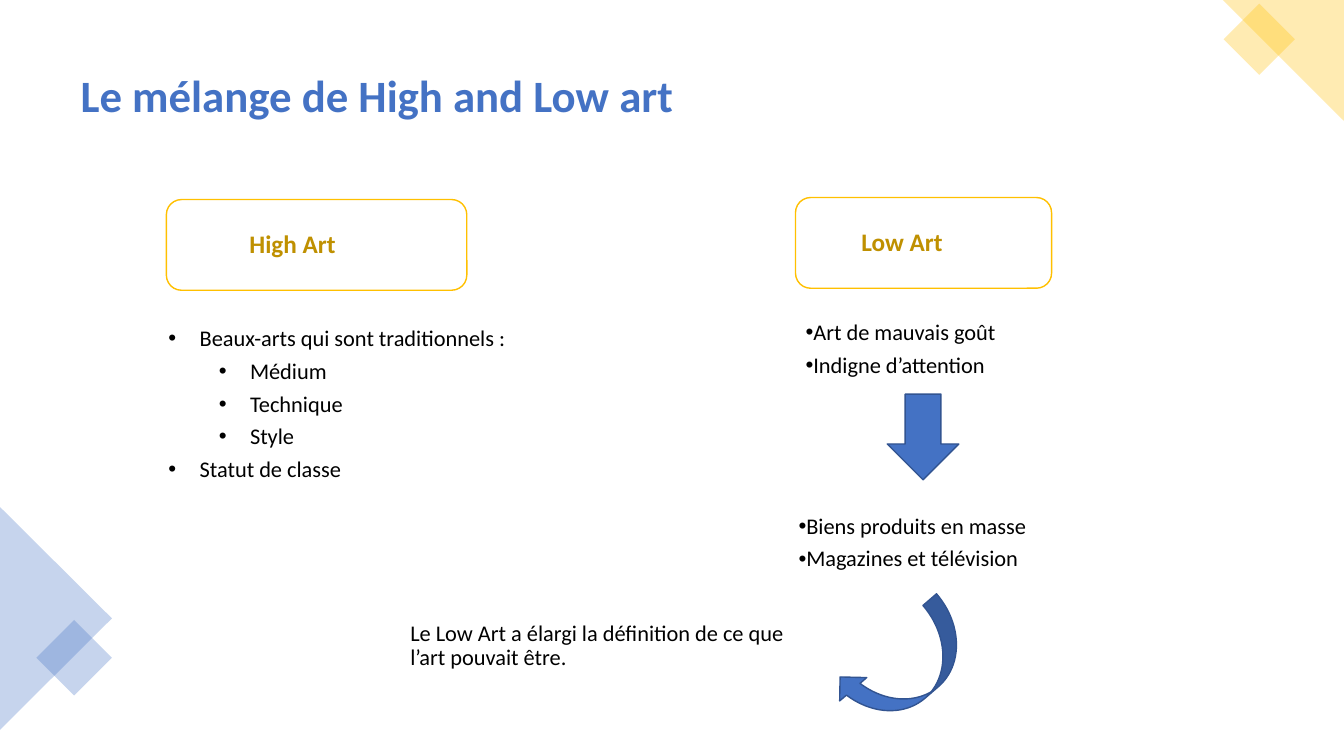
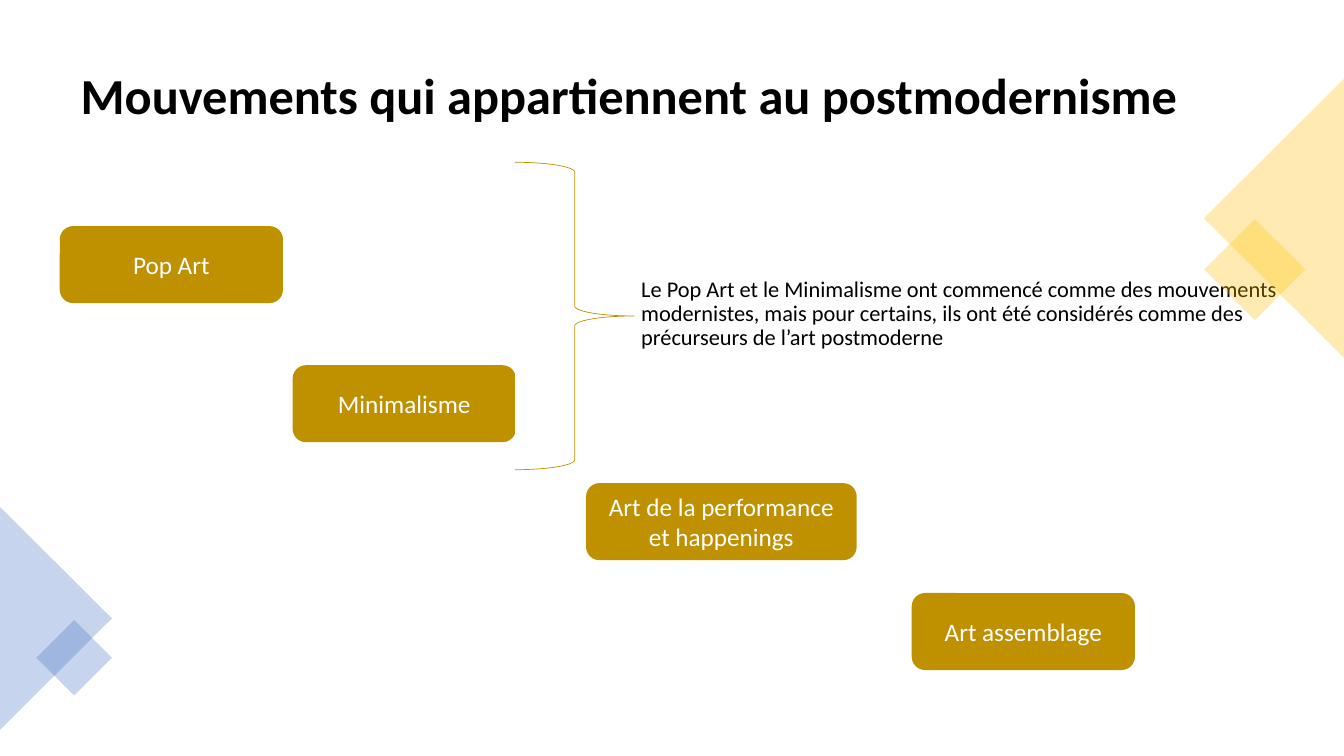
from dataclasses import dataclass

from lxml import etree
from pptx import Presentation
from pptx.dml.color import RGBColor
from pptx.enum.shapes import MSO_SHAPE
from pptx.enum.text import MSO_ANCHOR, MSO_AUTO_SIZE, PP_ALIGN
from pptx.oxml.ns import qn
from pptx.util import Inches, Pt

RECT = MSO_SHAPE.RECTANGLE
ROUND = MSO_SHAPE.ROUNDED_RECTANGLE
PEAK = MSO_SHAPE.ISOSCELES_TRIANGLE
DOWN = MSO_SHAPE.DOWN_ARROW
CURVE = MSO_SHAPE.CURVED_LEFT_ARROW
BRACE = MSO_SHAPE.RIGHT_BRACE
TOP, MIDDLE = MSO_ANCHOR.TOP, MSO_ANCHOR.MIDDLE
LEFT, CENTER = PP_ALIGN.LEFT, PP_ALIGN.CENTER
FIXED = MSO_AUTO_SIZE.NONE


@dataclass(frozen=True)
class Theme:
    font: str = "Calibri"
    white: str = "FFFFFF"
    black: str = "000000"
    blue: str = "4472C4"
    navy: str = "325491"
    gold: str = "FFC000"
    ochre: str = "BF9000"
    body: int = 16
    label: int = 18
    small: int = 32
    large: int = 36
    tight: float = 0.9
    after: int = 6
    alpha: int = 30


def color(code):
    return RGBColor.from_string(code)


def place(shape, box):
    shape.left, shape.top, shape.width, shape.height = map(Inches, box)


class Deck:
    def __init__(self, theme):
        self.theme = theme
        self.file = Presentation()
        self.file.slide_width = Inches(13.33)
        self.file.slide_height = Inches(7.5)

    def start(self, layout, title, width, size, ink):
        self.slide = self.file.slides.add_slide(self.file.slide_layouts[layout])
        head, *self.slots = self.slide.placeholders
        place(head, (0.7, 0.35, width, 1.24))
        self.frame(head, MIDDLE)
        head.text_frame.text = title
        self.style(head.text_frame.paragraphs[0], size, ink, bold=True)
        self.accent(PEAK, (-0.55, 5.58, 2.21, 1.11), self.theme.blue, 90)
        self.accent(RECT, (0.47, 6.26, 0.53, 0.53), self.theme.blue, 45)

    def frame(self, shape, anchor):
        text = shape.text_frame
        text.word_wrap = True
        text.auto_size = FIXED
        text.vertical_anchor = anchor

    def style(self, para, size, ink, bold=False, align=LEFT, space=None):
        para.alignment = align
        para.line_spacing = space or self.theme.tight
        para.space_before = Pt(0)
        for run in para.runs:
            font = run.font
            font.name, font.size, font.bold = self.theme.font, Pt(size), bold
            font.color.rgb = color(ink)

    def shape(self, kind, box, fill, line=None, weight=1, turn=0):
        item = self.slide.shapes.add_shape(kind, *map(Inches, box))
        item.shadow.inherit = False
        item.rotation = turn
        item.fill.solid()
        item.fill.fore_color.rgb = color(fill)
        if line:
            item.line.color.rgb = color(line)
            item.line.width = Pt(weight)
        else:
            item.line.fill.background()
        return item

    def accent(self, kind, box, fill, turn, peak=None):
        item = self.shape(kind, box, fill, turn=turn)
        if peak is not None:
            item.adjustments[0] = peak
        tint = item.element.spPr.find(qn("a:solidFill")).find(qn("a:srgbClr"))
        etree.SubElement(tint, qn("a:alpha"), val=str(self.theme.alpha * 1000))

    def label(self, box, text, fill, line, ink, bold=False, align=CENTER,
              inset=0.1, space=1.0):
        item = self.shape(ROUND, box, fill, line)
        self.frame(item, MIDDLE)
        item.text_frame.margin_left = Inches(inset)
        item.text_frame.text = text
        self.style(item.text_frame.paragraphs[0], self.theme.label, ink, bold,
                   align, space)

    def header(self, box, text, inset):
        look = self.theme
        self.label(box, text, look.white, look.gold, look.ochre, True, LEFT,
                   inset, look.tight)

    def pill(self, box, text):
        look = self.theme
        self.label(box, text, look.ochre, look.ochre, look.white)

    def body(self, box, rows, indent=0, hang=0):
        item = self.slots.pop(0)
        place(item, box)
        self.frame(item, TOP)
        item.text_frame.text = "\n".join(text for text, level in rows)
        for para, (text, level) in zip(item.text_frame.paragraphs, rows):
            para.level = level
            self.style(para, self.theme.body, self.theme.black)
            para.space_after = Pt(self.theme.after)
            props = para._p.get_or_add_pPr()
            props.set("marL", str(Inches(indent + level * 0.5)))
            props.set("indent", str(Inches(-hang)))
            if hang:
                etree.SubElement(props, qn("a:buChar"), char="•")
            else:
                etree.SubElement(props, qn("a:buNone"))


def mix(deck):
    look = deck.theme
    deck.start(4, "Le mélange de High and Low art", 7.55, look.small, look.blue)
    deck.accent(PEAK, (12.13, 0, 1.2, 1.2), look.gold, 270, peak=1)
    deck.accent(RECT, (12.24, 0.14, 0.5, 0.5), look.gold, 45)
    deck.header((1.65, 1.98, 2.98, 0.9), "High Art", 0.78)
    deck.header((7.89, 1.96, 2.54, 0.9), "Low Art", 0.61)
    deck.body((1.57, 3.2, 4.69, 1.97), [
        ("Beaux-arts qui sont traditionnels :", 0),
        ("Médium", 1),
        ("Technique", 1),
        ("Style", 1),
        ("Statut de classe", 0),
    ], 0.31, 0.31)
    deck.body((7.89, 3.14, 2.83, 0.67), [
        ("Art de mauvais goût", 0),
        ("Indigne d’attention", 0),
    ], hang=0.25)
    deck.body((7.82, 5.06, 3.93, 0.99), [
        ("Biens produits en masse", 0),
        ("Magazines et télévision", 0),
    ], hang=0.25)
    deck.body((3.97, 6.12, 3.93, 0.91), [
        ("Le Low Art a élargi la définition de ce que l’art pouvait être.", 0),
    ])
    deck.shape(DOWN, (8.8, 3.91, 0.71, 0.85), look.blue, look.navy)
    deck.shape(CURVE, (8.62, 5.91, 0.71, 1.44), look.blue, look.navy, turn=49.2)


def trends(deck):
    look = deck.theme
    deck.start(1, "Mouvements qui appartiennent au postmodernisme", 11.93,
               look.large, look.black)
    deck.accent(RECT, (12.09, 2.32, 0.71, 0.71), look.gold, 45)
    deck.accent(PEAK, (11.25, 1.47, 2.77, 1.39), look.gold, 270)
    for left, top, width, text in (
        (0.6, 2.25, 2.2, "Pop Art"),
        (2.91, 3.63, 2.2, "Minimalisme"),
        (5.82, 4.8, 2.67, "Art de la performance et happenings"),
        (9.05, 5.89, 2.2, "Art assemblage"),
    ):
        deck.pill((left, top, width, 0.75), text)
    deck.shape(BRACE, (5.11, 1.61, 1.18, 3.05), look.white, look.ochre, 0.5)
    deck.body((6.2, 2.71, 6.75, 0.83), [
        ("Le Pop Art et le Minimalisme ont commencé comme des mouvements "
         "modernistes, mais pour certains, ils ont été considérés comme des "
         "précurseurs de l’art postmoderne", 0),
    ], 0.06)


def main():
    deck = Deck(Theme())
    mix(deck)
    trends(deck)
    deck.file.save("out.pptx")


if __name__ == "__main__":
    main()
